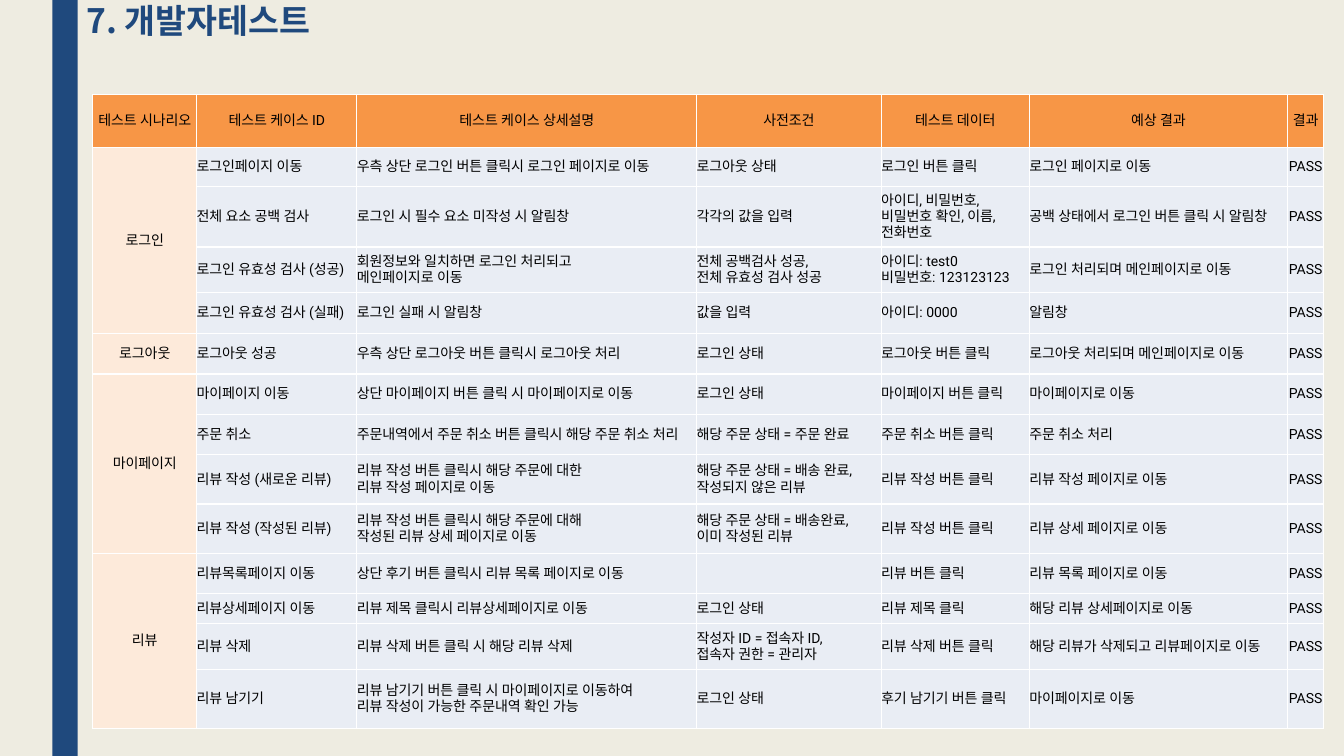
from dataclasses import dataclass

from lxml import etree
from pptx import Presentation
from pptx.dml.color import RGBColor
from pptx.enum import shapes, text
from pptx.oxml import ns
from pptx.util import Inches, Pt


@dataclass(frozen=True)
class Theme:
    background: str = "EEECE1"
    navy: str = "1F497D"
    header: str = "F79646"
    scenario: str = "FDEADA"
    body: str = "E9EDF4"
    border: str = "FFFFFF"
    black: str = "000000"
    cell_font: str = "Roboto"
    title_font: str = "Noto Sans CJK KR"
    title_size: int = 24
    cell_size: int = 10


theme = Theme()


def write(frame, content, *, size=theme.cell_size, color=theme.black, typeface=theme.cell_font,
          bold=False, align=text.PP_ALIGN.LEFT, spacing=None):
    """Fill a text frame, one paragraph for each line of content."""
    frame.word_wrap = True
    frame.text = content
    for paragraph in frame.paragraphs:
        paragraph.alignment = align
        paragraph.line_spacing = spacing
        for font in [paragraph.font] + [run.font for run in paragraph.runs]:
            font.size, font.bold, font.name = Pt(size), bold, typeface
            font.color.rgb = RGBColor.from_string(color)
        for run in paragraph.runs:
            latin_tag = run.font._element.find(ns.qn("a:latin"))
            latin_tag.addnext(etree.Element(ns.qn("a:ea"), typeface=typeface))


def style_cell(cell, fill):
    """Give a cell white borders, no margins and a solid fill."""
    cell.margin_left = cell.margin_right = cell.margin_top = cell.margin_bottom = 0
    cell.vertical_anchor = text.MSO_ANCHOR.MIDDLE
    properties = cell._tc.get_or_add_tcPr()
    for side in ("lnL", "lnR", "lnT", "lnB"):
        line = etree.SubElement(properties, ns.qn(f"a:{side}"), w=str(Pt(1)))
        solid = etree.SubElement(line, ns.qn("a:solidFill"))
        etree.SubElement(solid, ns.qn("a:srgbClr"), val=theme.border)
    cell.fill.solid()
    cell.fill.fore_color.rgb = RGBColor.from_string(fill)


# Test cases
headers = ["테스트 시나리오", "테스트 케이스 ID", "테스트 케이스 상세설명", "사전조건",
           "테스트 데이터", "예상 결과", "결과"]
scenarios = {
    "로그인": [
        ("로그인페이지 이동", "우측 상단 로그인 버튼 클릭시 로그인 페이지로 이동", "로그아웃 상태",
         "로그인 버튼 클릭", "로그인 페이지로 이동"),
        ("전체 요소 공백 검사", "로그인 시 필수 요소 미작성 시 알림창", "각각의 값을 입력",
         "아이디, 비밀번호,\n비밀번호 확인, 이름,\n전화번호",
         "공백 상태에서 로그인 버튼 클릭 시 알림창"),
        ("로그인 유효성 검사 (성공)", "회원정보와 일치하면 로그인 처리되고\n메인페이지로 이동",
         "전체 공백검사 성공,\n전체 유효성 검사 성공", "아이디: test0\n비밀번호: 123123123",
         "로그인 처리되며 메인페이지로 이동"),
        ("로그인 유효성 검사 (실패)", "로그인 실패 시 알림창", "값을 입력", "아이디: 0000", "알림창"),
    ],
    "로그아웃": [
        ("로그아웃 성공", "우측 상단 로그아웃 버튼 클릭시 로그아웃 처리", "로그인 상태",
         "로그아웃 버튼 클릭", "로그아웃 처리되며 메인페이지로 이동"),
    ],
    "마이페이지": [
        ("마이페이지 이동", "상단 마이페이지 버튼 클릭 시 마이페이지로 이동", "로그인 상태",
         "마이페이지 버튼 클릭", "마이페이지로 이동"),
        ("주문 취소", "주문내역에서 주문 취소 버튼 클릭시 해당 주문 취소 처리",
         "해당 주문 상태 = 주문 완료", "주문 취소 버튼 클릭", "주문 취소 처리"),
        ("리뷰 작성 (새로운 리뷰)", "리뷰 작성 버튼 클릭시 해당 주문에 대한\n리뷰 작성 페이지로 이동",
         "해당 주문 상태 = 배송 완료,\n작성되지 않은 리뷰", "리뷰 작성 버튼 클릭",
         "리뷰 작성 페이지로 이동"),
        ("리뷰 작성 (작성된 리뷰)",
         "리뷰 작성 버튼 클릭시 해당 주문에 대해\n작성된 리뷰 상세 페이지로 이동",
         "해당 주문 상태 = 배송완료,\n이미 작성된 리뷰", "리뷰 작성 버튼 클릭",
         "리뷰 상세 페이지로 이동"),
    ],
    "리뷰": [
        ("리뷰목록페이지 이동", "상단 후기 버튼 클릭시 리뷰 목록 페이지로 이동", "",
         "리뷰 버튼 클릭", "리뷰 목록 페이지로 이동"),
        ("리뷰상세페이지 이동", "리뷰 제목 클릭시 리뷰상세페이지로 이동", "로그인 상태",
         "리뷰 제목 클릭", "해당 리뷰 상세페이지로 이동"),
        ("리뷰 삭제", "리뷰 삭제 버튼 클릭 시 해당 리뷰 삭제",
         "작성자 ID = 접속자 ID,\n접속자 권한 = 관리자", "리뷰 삭제 버튼 클릭",
         "해당 리뷰가 삭제되고 리뷰페이지로 이동"),
        ("리뷰 남기기",
         "리뷰 남기기 버튼 클릭 시 마이페이지로 이동하여\n리뷰 작성이 가능한 주문내역 확인 가능",
         "로그인 상태", "후기 남기기 버튼 클릭", "마이페이지로 이동"),
    ],
}
column_widths = [1.03, 1.59, 3.37, 1.83, 1.47, 2.56, 0.36]
row_heights = [0.52, 0.39, 0.6, 0.45, 0.41, 0.4, 0.4, 0.4, 0.49, 0.49, 0.4, 0.3, 0.45, 0.59]

# Slide and background
presentation = Presentation()
presentation.slide_width, presentation.slide_height = Inches(13.33), Inches(7.5)
slide = presentation.slides.add_slide(presentation.slide_layouts[6])
slide.background.fill.solid()
slide.background.fill.fore_color.rgb = RGBColor.from_string(theme.background)

# Side bar
bar = slide.shapes.add_shape(shapes.MSO_SHAPE.RECTANGLE, Inches(0.52), 0, Inches(0.25), Inches(7.5))
bar.shadow.inherit = False
bar.fill.solid()
bar.fill.fore_color.rgb = RGBColor.from_string(theme.navy)
bar.line.fill.background()

# Title
title = slide.shapes.add_textbox(Inches(0.76), 0, Inches(10.5), Inches(0.81))
write(title.text_frame, "7. 개발자테스트", size=theme.title_size, color=theme.navy,
      typeface=theme.title_font, bold=True, spacing=0.89)

# Table grid
table = slide.shapes.add_table(len(row_heights), len(column_widths), Inches(0.92), Inches(0.94),
                               Inches(sum(column_widths)), Inches(sum(row_heights))).table
table.first_row = table.horz_banding = False
for column, width in zip(table.columns, column_widths):
    column.width = Inches(width)
for row, height in zip(table.rows, row_heights):
    row.height = Inches(height)

# Cell contents
rows = [headers] + [(scenario if index == 0 else "", *case, "PASS")
                    for scenario, cases in scenarios.items()
                    for index, case in enumerate(cases)]
last_column = len(headers) - 1
for row_index, row in enumerate(rows):
    for column_index, content in enumerate(row):
        cell = table.cell(row_index, column_index)
        fill = (theme.header if row_index == 0
                else theme.scenario if column_index == 0 else theme.body)
        centered = row_index == 0 or column_index in (0, last_column)
        style_cell(cell, fill)
        write(cell.text_frame, content,
              align=text.PP_ALIGN.CENTER if centered else text.PP_ALIGN.LEFT)

# Scenario cells span their test cases
first = 1
for cases in scenarios.values():
    last = first + len(cases) - 1
    if last > first:
        table.cell(first, 0).merge(table.cell(last, 0))
    first = last + 1

presentation.save("out.pptx")
